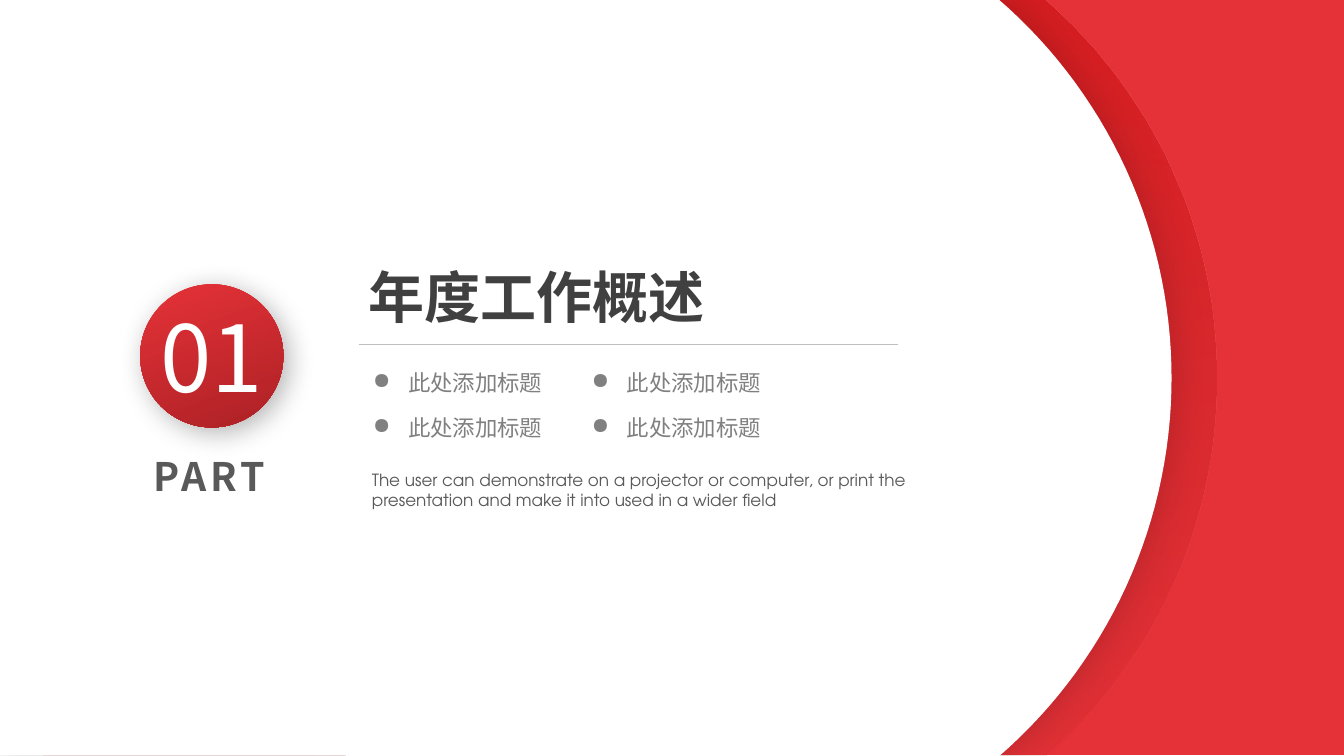
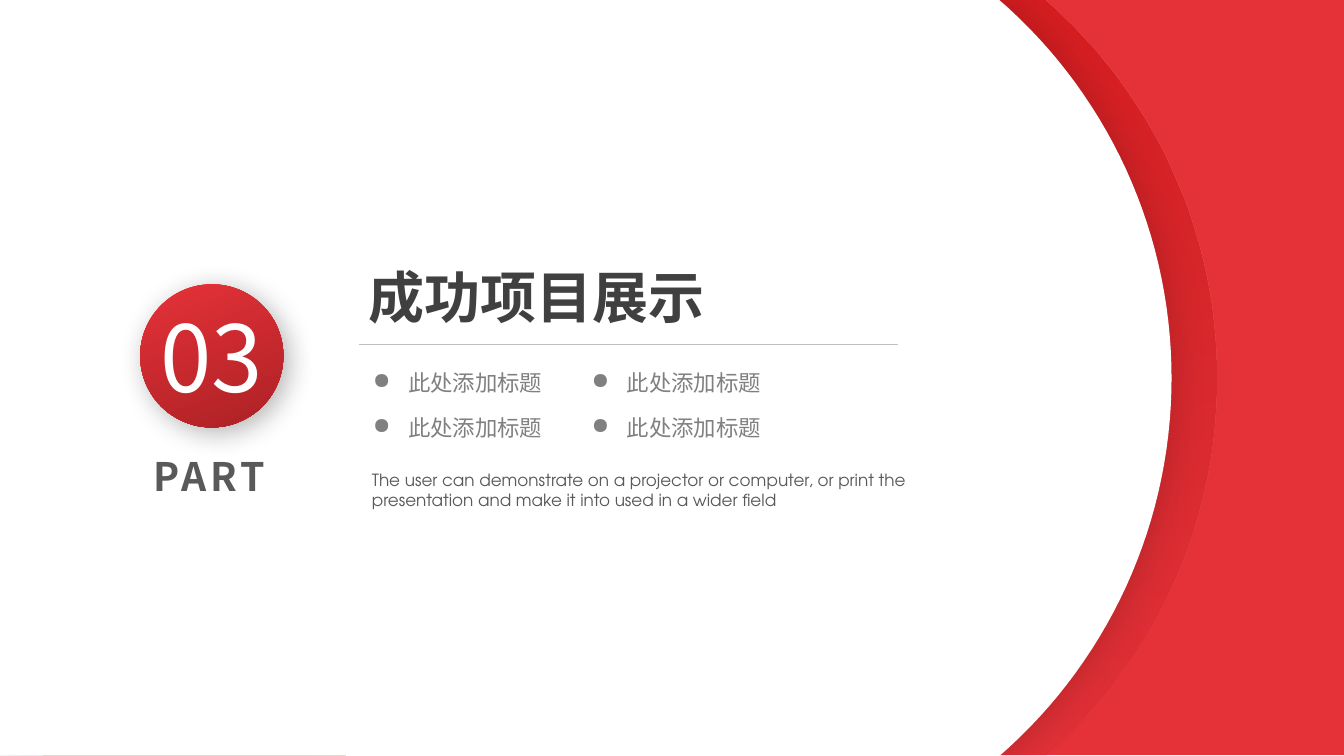
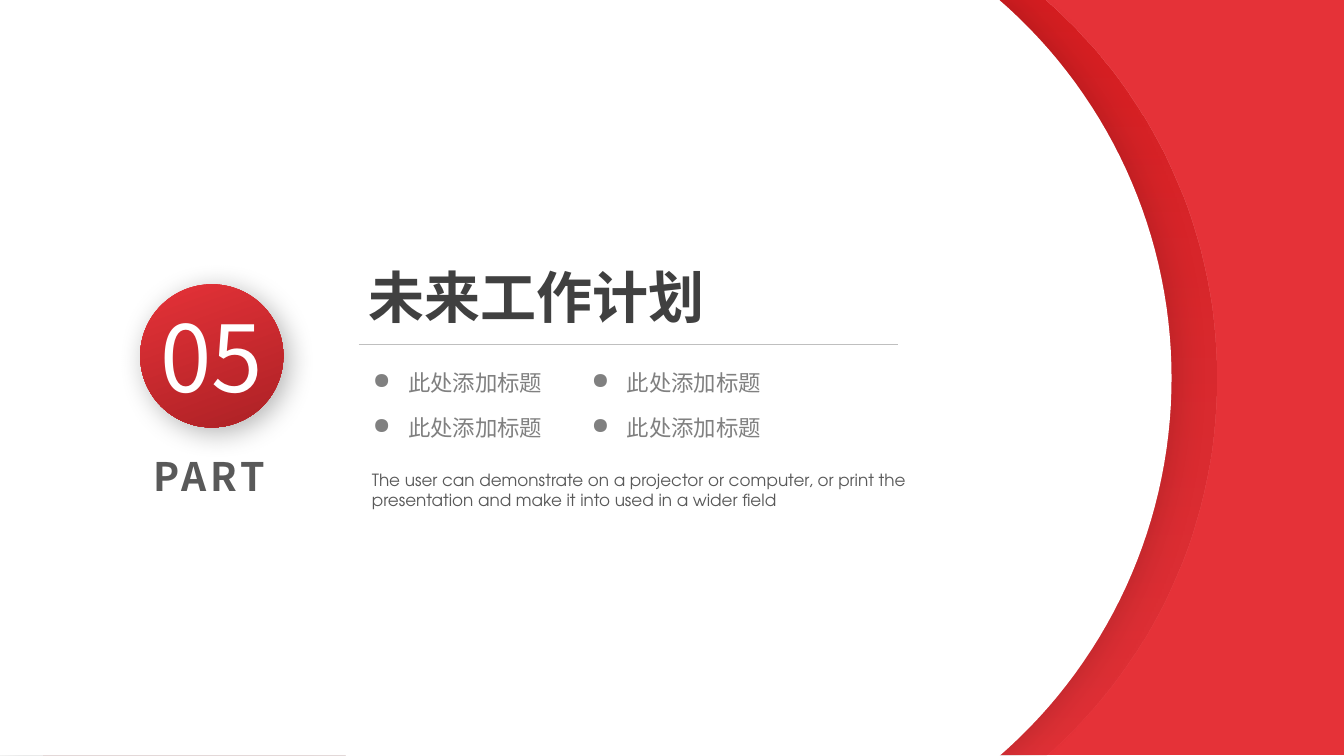
import math

from lxml import etree
from pptx import Presentation
from pptx.dml.color import RGBColor
from pptx.enum.shapes import MSO_CONNECTOR, MSO_SHAPE
from pptx.enum.text import MSO_ANCHOR, MSO_AUTO_SIZE, PP_ALIGN
from pptx.oxml.ns import qn
from pptx.util import Pt

EMU_PER_PX = 9144  # 100 px to the inch
SLIDE_WIDTH, SLIDE_HEIGHT = 1333, 750

RECTANGLE, OVAL = MSO_SHAPE.RECTANGLE, MSO_SHAPE.OVAL
STRAIGHT = MSO_CONNECTOR.STRAIGHT
LEFT, CENTER, JUSTIFY = PP_ALIGN.LEFT, PP_ALIGN.CENTER, PP_ALIGN.JUSTIFY
MIDDLE = MSO_ANCHOR.MIDDLE
FIT_SHAPE = MSO_AUTO_SIZE.SHAPE_TO_FIT_TEXT

COLORS = {
    "red": "E53238",
    "dark_red": "AC2125",
    "deep_red": "C00000",
    "white": "FFFFFF",
    "black": "000000",
    "title": "404040",
    "body": "595959",
    "bullet": "808080",
    "rule": "BFBFBF",
}
LATIN_FONT = "Calibri"
CJK_FONT = "Noto Sans CJK SC"
BODY_FONT = "TeX Gyre Adventor"

SECTIONS = [("01", "年度工作概述"), ("03", "成功项目展示"), ("05", "未来工作计划")]
BULLET_TEXT = "此处添加标题"
BODY_TEXT = (
    "The user can demonstrate on a projector or computer, or print the "
    "presentation and make it into used in a wider field"
)


def px(length):
    return round(length * EMU_PER_PX)


def rgb(name):
    return RGBColor.from_string(COLORS[name])


def add_alpha(color_element, percent):
    etree.SubElement(color_element, qn("a:alpha"), val=str(percent * 1000))


def fill_solid(shape, color):
    shape.fill.solid()
    shape.fill.fore_color.rgb = rgb(color)


def fill_gradient(shape, colors, angle, opacities=()):
    """Fill with a two-stop gradient; the angle runs clockwise in degrees."""
    shape.fill.gradient()
    shape.fill.gradient_angle = 360 - angle
    for stop, color in zip(shape.fill.gradient_stops, colors):
        stop.color.rgb = rgb(color)
    color_elements = shape.element.spPr.iter(qn("a:srgbClr"))
    for color_element, opacity in zip(list(color_elements), opacities):
        add_alpha(color_element, opacity)


def finish_shape(shape):
    """Remove the outline and the inherited shadow."""
    shape.line.fill.background()
    shape.shadow.inherit = False


def add_shadow(shape, opacity, blur, distance=0, angle=0):
    effects = shape.element.spPr.find(qn("a:effectLst"))
    shadow = etree.SubElement(
        effects, qn("a:outerShdw"),
        blurRad=str(Pt(blur)), dist=str(Pt(distance)),
        dir=str(angle * 60000), algn="ctr", rotWithShape="0",
    )
    color = etree.SubElement(shadow, qn("a:srgbClr"), val=COLORS["black"])
    add_alpha(color, opacity)


def style_paragraph(paragraph, size, color, font_name, bold=False, align=LEFT):
    paragraph.alignment = align
    font = paragraph.font
    font.size, font.bold, font.name = Pt(size), bold, font_name
    font.color.rgb = rgb(color)
    properties = paragraph._p.pPr.find(qn("a:defRPr"))
    east_asian = etree.Element(qn("a:ea"), typeface=CJK_FONT)
    properties.find(qn("a:latin")).addnext(east_asian)
    return properties


def add_text(slide, box, text, size, color, font_name, wrap=True, **style):
    """Add a one-paragraph text box; return its paragraph and font properties."""
    text_box = slide.shapes.add_textbox(*map(px, box))
    frame = text_box.text_frame
    frame.word_wrap = wrap
    frame.auto_size = FIT_SHAPE
    paragraph = frame.paragraphs[0]
    paragraph.text = text
    return paragraph, style_paragraph(paragraph, size, color, font_name, **style)


def add_disc_edge(slide, left):
    """Add a panel whose right side is an arc of a large circle."""
    top, bottom, step_width = -1, SLIDE_HEIGHT, 345
    radius, center_x, center_y = 497, left + 667, 375
    half_angle = math.asin((center_y - top) / radius)
    segments = 60
    angles = [half_angle * (2 * i / segments - 1) for i in range(segments + 1)]
    arc = [
        (center_x + radius * math.cos(a), center_y + radius * math.sin(a))
        for a in angles
    ]
    step = [(left + step_width, bottom), (left + step_width, bottom - 1),
            (left, bottom - 1)]
    builder = slide.shapes.build_freeform(px(left), px(top))
    builder.add_line_segments([(px(x), px(y)) for x, y in arc + step])
    shape = builder.convert_to_shape()
    finish_shape(shape)
    return shape


def add_backdrop(slide):
    band_left = 953
    band = slide.shapes.add_shape(
        RECTANGLE, px(band_left), px(-1),
        px(SLIDE_WIDTH - band_left), px(SLIDE_HEIGHT),
    )
    fill_solid(band, "red")
    finish_shape(band)

    shade = add_disc_edge(slide, 43)
    fill_gradient(shade, ("deep_red", "dark_red"), 90, (41, 10))

    panel = add_disc_edge(slide, -2)
    fill_solid(panel, "white")
    add_shadow(panel, opacity=20, blur=29)


def add_badge(slide, left, top, number):
    """Add the numbered disc with its PART label below."""
    diameter = 142
    disc = slide.shapes.add_shape(
        OVAL, px(left), px(top), px(diameter), px(diameter)
    )
    fill_gradient(disc, ("red", "dark_red"), 70)
    finish_shape(disc)
    add_shadow(disc, opacity=30, blur=20, distance=5, angle=45)
    frame = disc.text_frame
    frame.word_wrap = False
    frame.vertical_anchor = MIDDLE
    paragraph = frame.paragraphs[0]
    paragraph.text = number
    style_paragraph(paragraph, 66, "white", CJK_FONT, align=CENTER)

    label_box = (left + 3, top + 162, 136, 57)
    _, properties = add_text(slide, label_box, "PART", 28, "body", CJK_FONT,
                             bold=True, align=JUSTIFY)
    properties.set("spc", "300")


def add_bullet(slide, box):
    paragraph, properties = add_text(slide, box, BULLET_TEXT, 16, "bullet",
                                     LATIN_FONT, wrap=False)
    paragraph_properties = paragraph._p.pPr
    paragraph_properties.set("marL", str(px(62)))
    paragraph_properties.set("indent", str(px(-35)))
    properties.addprevious(etree.Element(qn("a:buChar"), char="●"))


def add_heading(slide, left, top, title):
    """Add the title, its rule, the bullet grid and the body text."""
    add_text(slide, (left, top, 358, 77), title, 40, "title", LATIN_FONT,
             wrap=False, bold=True)

    rule_y = px(top + 86)
    rule = slide.shapes.add_connector(
        STRAIGHT, px(left), rule_y, px(left + 535), rule_y
    )
    rule.line.color.rgb = rgb("rule")
    rule.line.width = Pt(1)
    etree.SubElement(rule.element.spPr, qn("a:effectLst"))

    for column in range(2):
        for row in range(2):
            add_bullet(slide, (left - 23 + 217 * column, top + 105 + 45 * row,
                               218, 37))

    add_text(slide, (left + 3, top + 205, 654, 50), BODY_TEXT, 12, "body",
             BODY_FONT)


def add_section_slide(presentation, number, title):
    slide = presentation.slides.add_slide(presentation.slide_layouts[6])
    add_backdrop(slide)
    add_heading(slide, 356, 256, title)
    add_badge(slide, 139, 282, number)


def main():
    presentation = Presentation()
    presentation.slide_width = px(SLIDE_WIDTH)
    presentation.slide_height = px(SLIDE_HEIGHT)
    for number, title in SECTIONS:
        add_section_slide(presentation, number, title)
    presentation.save("out.pptx")


if __name__ == "__main__":
    main()
